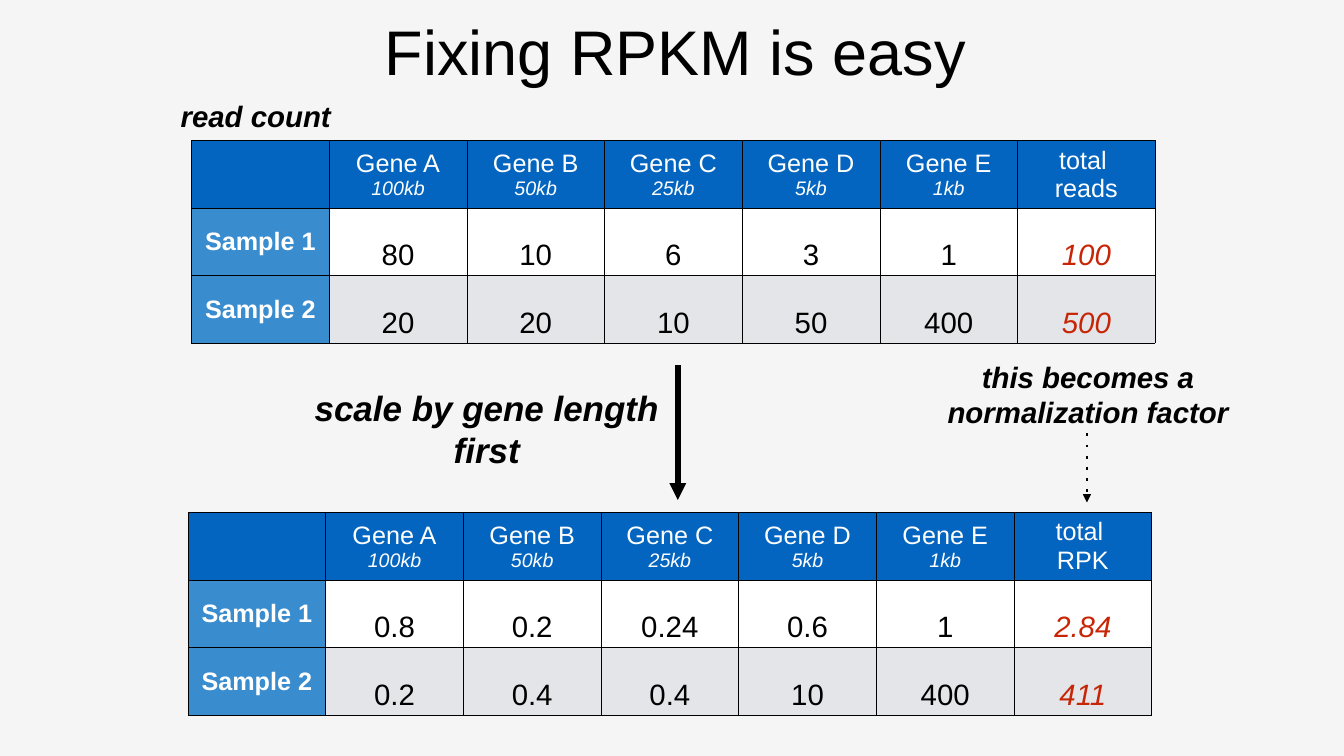
import pptx
import pptx.dml.color
import pptx.enum.shapes
import pptx.enum.text
import pptx.oxml
import pptx.oxml.ns
import pptx.util

Pt = pptx.util.Pt
RGBColor = pptx.dml.color.RGBColor
CENTER = pptx.enum.text.PP_ALIGN.CENTER
MIDDLE = pptx.enum.text.MSO_ANCHOR.MIDDLE
NAMESPACE = pptx.oxml.ns.nsdecls("a")

BACKGROUND = RGBColor(0xF5, 0xF5, 0xF5)
BLACK = RGBColor(0, 0, 0)
WHITE = RGBColor(0xFF, 0xFF, 0xFF)
HEADER_BLUE = RGBColor(0x03, 0x65, 0xC0)
SAMPLE_BLUE = RGBColor(0x39, 0x8C, 0xCE)
BAND_GRAY = RGBColor(0xE3, 0xE5, 0xE8)
TOTAL_RED = RGBColor(0xC8, 0x25, 0x06)


def format_text(text_frame, sizes, color, bold=False, italics=(False,)):
    """Center the paragraphs; sizes and italics hold one value per paragraph."""
    for paragraph, size, italic in zip(text_frame.paragraphs, sizes, italics):
        paragraph.alignment = CENTER
        for run in paragraph.runs:
            run.font.name = "Arial"
            run.font.size = Pt(size)
            run.font.color.rgb = color
            run.font.bold = bold
            run.font.italic = italic


def set_frame(text_frame):
    """Wrap the text, center it vertically and set equal margins."""
    text_frame.word_wrap = True
    text_frame.auto_size = pptx.enum.text.MSO_AUTO_SIZE.NONE
    text_frame.vertical_anchor = MIDDLE
    text_frame.margin_left = text_frame.margin_right = Pt(6)
    text_frame.margin_top = text_frame.margin_bottom = Pt(6)


presentation = pptx.Presentation()
presentation.slide_width = Pt(1920.24)
presentation.slide_height = Pt(1080)
slide = presentation.slides.add_slide(presentation.slide_layouts[5])
slide.background.fill.solid()
slide.background.fill.fore_color.rgb = BACKGROUND

title = slide.shapes.title
title.left, title.top, title.width, title.height = Pt(303), Pt(16.5), Pt(1324), Pt(112)
title.text_frame.text = "Fixing RPKM is easy"
set_frame(title.text_frame)
format_text(title.text_frame, [90], BLACK)

# Tables: gene columns are shared, the totals column differs
gene_headers = ["", "Gene A\n100kb", "Gene B\n50kb", "Gene C\n25kb", "Gene D\n5kb", "Gene E\n1kb"]
tables = [
    (273.6, 200.9, "total \nreads", [
        ["Sample 1", "80", "10", "6", "3", "1", "100"],
        ["Sample 2", "20", "20", "10", "50", "400", "500"]]),
    (268.6, 732.2, "total \nRPK", [
        ["Sample 1", "0.8", "0.2", "0.24", "0.6", "1", "2.84"],
        ["Sample 2", "0.2", "0.4", "0.4", "10", "400", "411"]]),
]
COLUMN_WIDTH, ROW_HEIGHT = 196.7, 96.5
for left, top, total_header, samples in tables:
    rows = [gene_headers + [total_header]] + samples
    last_column = len(rows[0]) - 1
    table = slide.shapes.add_table(
        len(rows), len(rows[0]), Pt(left), Pt(top),
        Pt(COLUMN_WIDTH * len(rows[0])), Pt(ROW_HEIGHT * len(rows))).table
    table.first_row = table.horz_banding = False
    for column in table.columns:
        column.width = Pt(COLUMN_WIDTH)
    for row_index, row in enumerate(rows):
        for column_index, value in enumerate(row):
            cell = table.cell(row_index, column_index)
            cell.text_frame.text = value
            cell.vertical_anchor = MIDDLE
            cell.margin_left = cell.margin_right = Pt(4)
            cell.margin_top = cell.margin_bottom = Pt(4)
            for side in ("lnL", "lnR", "lnT", "lnB"):
                cell._tc.get_or_add_tcPr().append(pptx.oxml.parse_xml(
                    f'<a:{side} {NAMESPACE} w="9525"><a:solidFill>'
                    f'<a:srgbClr val="{BLACK}"/></a:solidFill></a:{side}>'))
            cell.fill.solid()
            if row_index == 0:
                cell.fill.fore_color.rgb = HEADER_BLUE
                is_total = column_index == last_column
                format_text(cell.text_frame, [36, 36 if is_total else 28], WHITE,
                            italics=[False, not is_total])
            elif column_index == 0:
                cell.fill.fore_color.rgb = SAMPLE_BLUE
                format_text(cell.text_frame, [36], WHITE, bold=True)
            else:
                cell.fill.fore_color.rgb = WHITE if row_index == 1 else BAND_GRAY
                is_total = column_index == last_column
                format_text(cell.text_frame, [42], TOTAL_RED if is_total else BLACK,
                            italics=[is_total])
                cell.text_frame.paragraphs[0].line_spacing = 1.83

# Arrows down to the second table
arrows = [(968.4, 522, 714.2, 8, "solid"), (1553, 619.2, 717.8, 4, "dot")]
for x, start, end, width, dash in arrows:
    arrow = slide.shapes.add_connector(
        pptx.enum.shapes.MSO_CONNECTOR.STRAIGHT, Pt(x), Pt(start), Pt(x), Pt(end))
    arrow.line.width = Pt(width)
    arrow.line.color.rgb = BLACK
    line = arrow.line._get_or_add_ln()
    line.append(pptx.oxml.parse_xml(f'<a:prstDash {NAMESPACE} val="{dash}"/>'))
    line.append(pptx.oxml.parse_xml(f'<a:tailEnd {NAMESPACE} type="triangle"/>'))
    arrow._element.spPr.append(pptx.oxml.parse_xml(f"<a:effectLst {NAMESPACE}/>"))

labels = [
    ("read count", 116.6, 135.6, 497.5, 60, 42),
    ("scale by gene length first", 422.6, 545.8, 545.8, 132.5, 50),
    ("this becomes a normalization factor", 1281.6, 506.9, 545.8, 113, 42),
]
for text, left, top, width, height, size in labels:
    label = slide.shapes.add_textbox(Pt(left), Pt(top), Pt(width), Pt(height))
    label.text_frame.text = text
    set_frame(label.text_frame)
    format_text(label.text_frame, [size], BLACK, bold=True, italics=[True])

presentation.save("out.pptx")
